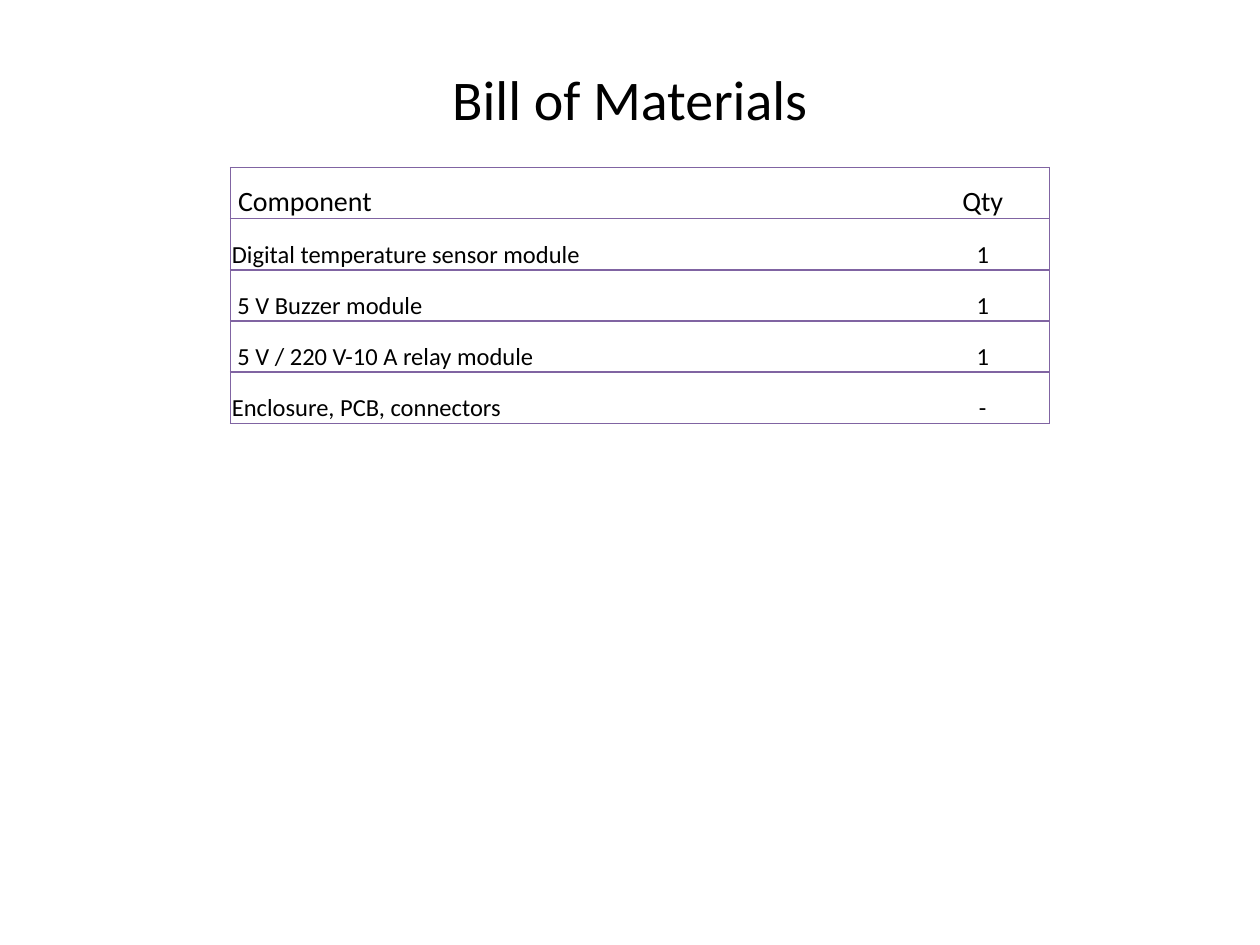
from lxml.etree import SubElement
from pptx import Presentation
from pptx.dml.color import RGBColor
from pptx.enum.text import MSO_ANCHOR, PP_ALIGN
from pptx.oxml.ns import qn
from pptx.util import Inches, Pt

BLACK = RGBColor(0x00, 0x00, 0x00)
WHITE = RGBColor(0xFF, 0xFF, 0xFF)
PURPLE = RGBColor(0x80, 0x64, 0xA2)
FONT = "Calibri"
PARTS = [
    (" Component", "Qty"),
    ("Digital temperature sensor module", "1"),
    (" 5 V Buzzer module", "1"),
    (" 5 V / 220 V-10 A relay module", "1"),
    ("Enclosure, PCB, connectors", "-"),
]


def style(para, size, align):
    para.alignment = align
    for run in para.runs:
        font = run.font
        font.name, font.size, font.bold = FONT, Pt(size), False
        font.color.rgb = BLACK


def add_title(slide, left, top, width, height):
    title = slide.shapes.title
    title.left, title.top = Inches(left), Inches(top)
    title.width, title.height = Inches(width), Inches(height)
    frame = title.text_frame
    frame.text = "Bill of Materials"
    frame.vertical_anchor = MSO_ANCHOR.MIDDLE
    style(frame.paragraphs[0], 32, PP_ALIGN.CENTER)


def set_edges(cell, shown):
    props = cell._tc.get_or_add_tcPr()
    for side in "LRTB":
        line = SubElement(props, qn(f"a:ln{side}"), w=str(Pt(1)))
        if side in shown:
            fill = SubElement(line, qn("a:solidFill"))
            SubElement(fill, qn("a:srgbClr"), val=str(PURPLE))
        else:
            SubElement(line, qn("a:noFill"))


def fill_cell(cell, text, size, align, edges):
    cell.text_frame.text = text
    cell.vertical_anchor = MSO_ANCHOR.BOTTOM
    cell.margin_left = cell.margin_right = cell.margin_top = Inches(0.01)
    cell.margin_bottom = 0
    style(cell.text_frame.paragraphs[0], size, align)
    set_edges(cell, edges)
    cell.fill.solid()
    cell.fill.fore_color.rgb = WHITE


def add_parts(slide, left, top, width, height):
    count = len(PARTS)
    frame = slide.shapes.add_table(
        count, 2, Inches(left), Inches(top), Inches(width), Inches(height))
    table = frame.table
    table.horz_banding = False
    qty = 1.06
    table.columns[0].width = Inches(width - qty)
    table.columns[1].width = Inches(qty)
    for i, (name, num) in enumerate(PARTS):
        table.rows[i].height = Inches(height / count)
        size = 14 if i else 16
        fill_cell(table.cell(i, 0), name, size, PP_ALIGN.LEFT, "LTB")
        fill_cell(table.cell(i, 1), num, size, PP_ALIGN.CENTER, "RTB")


deck = Presentation()
deck.slide_width, deck.slide_height = Inches(10), Inches(7.5)
slide = deck.slides.add_slide(deck.slide_layouts[5])
add_title(slide, 0.5, 0.3, 9, 0.95)
add_parts(slide, 1.83, 1.33, 6.5, 2.03)
deck.save("out.pptx")
